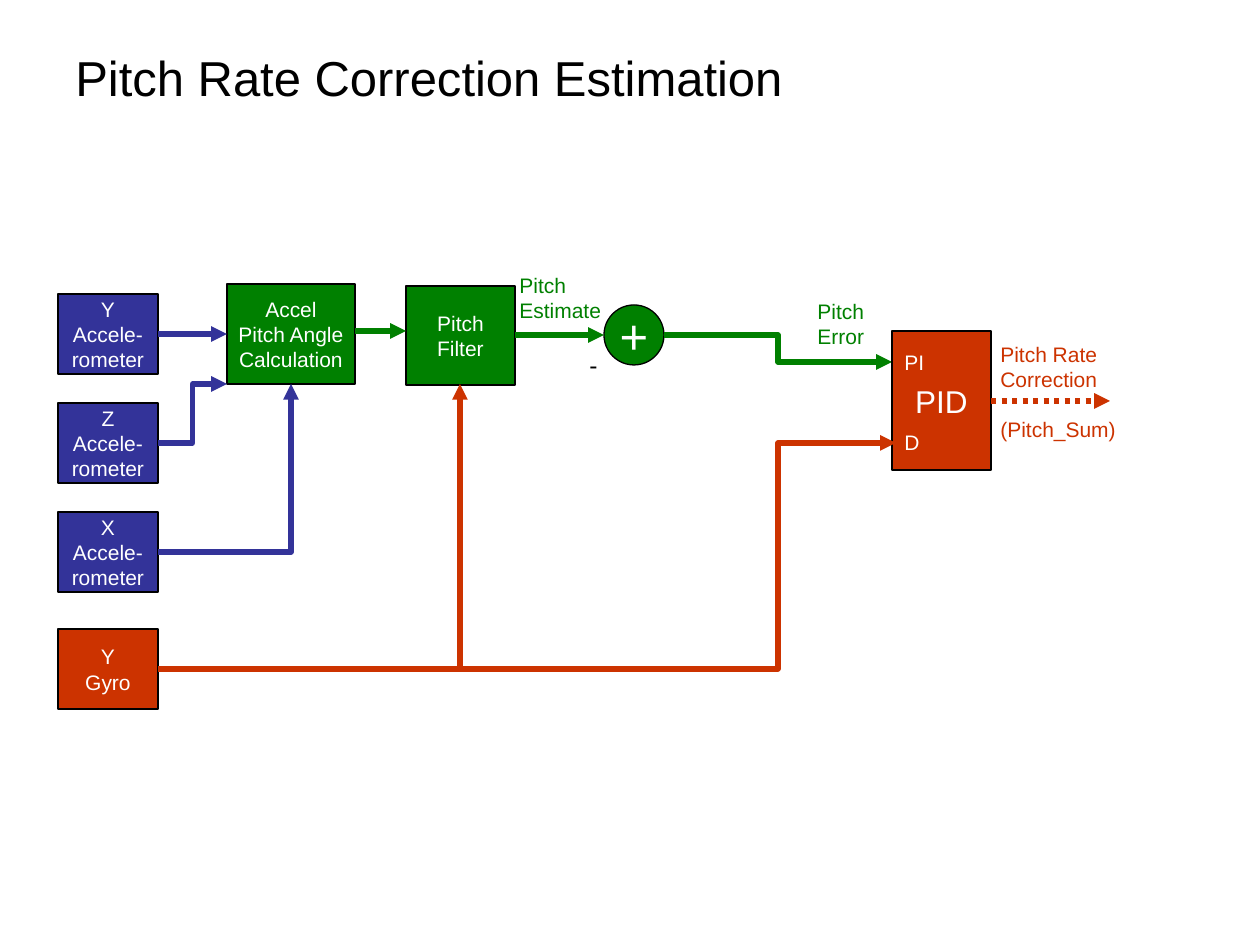
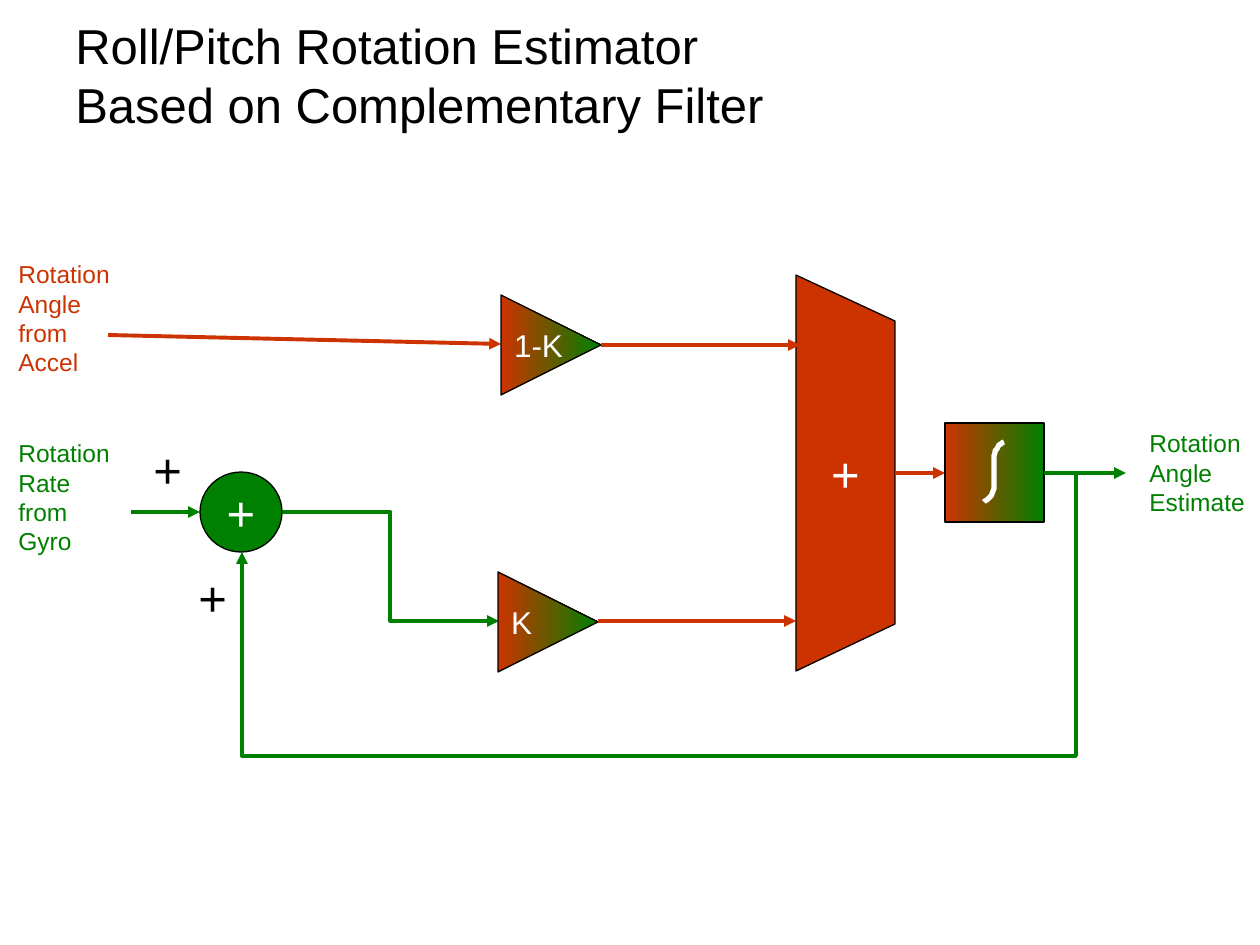
from dataclasses import dataclass

from lxml.etree import SubElement
from pptx import Presentation
from pptx.dml.color import RGBColor
from pptx.enum.dml import MSO_LINE
from pptx.enum.shapes import MSO_CONNECTOR, MSO_SHAPE
from pptx.enum.text import MSO_ANCHOR, PP_ALIGN
from pptx.oxml.ns import qn
from pptx.util import Pt

EMU_PER_PX = 914400 / 126
FONT = "Arial"
BLACK, WHITE = "000000", "FFFFFF"
BLUE, GREEN, RED = "333399", "008000", "CC3300"
THICK, THIN = 3, 2.25


def px(length):
    return round(length * EMU_PER_PX)


def color(hex_string):
    return RGBColor.from_string(hex_string)


def write(frame, text, size, hex_color, align=PP_ALIGN.LEFT):
    """Write each line of the text as a paragraph with one run."""
    for index, line in enumerate(text.split("\n")):
        paragraph = frame.add_paragraph() if index else frame.paragraphs[0]
        paragraph.alignment = align
        run = paragraph.add_run()
        run.text = line
        run.font.name = FONT
        run.font.size = Pt(size)
        run.font.color.rgb = color(hex_color)


def outline(shape, hex_color=BLACK, width=0.75):
    shape.shadow.inherit = False
    shape.line.color.rgb = color(hex_color)
    shape.line.width = Pt(width)


def fill_solid(shape, hex_color):
    shape.fill.solid()
    shape.fill.fore_color.rgb = color(hex_color)


def fill_red_to_green(shape, angle=0):
    shape.fill.gradient()
    shape.fill.gradient_angle = angle
    for stop, position, hex_color in zip(shape.fill.gradient_stops, (0, 1), (RED, GREEN)):
        stop.position = position
        stop.color.rgb = color(hex_color)


def center_text(shape, text, size):
    frame = shape.text_frame
    frame.word_wrap = False
    frame.vertical_anchor = MSO_ANCHOR.MIDDLE
    write(frame, text, size, WHITE, PP_ALIGN.CENTER)


def bezier_points(start, curves, steps=8):
    """Return points along joined cubic curves, each given by two controls and an end."""
    points = [start]
    for first, second, end in curves:
        begin = points[-1]
        for step in range(1, steps + 1):
            t = step / steps
            u = 1 - t
            points.append(tuple(
                u**3 * a + 3 * u * u * t * b + 3 * u * t * t * c + t**3 * d
                for a, b, c, d in zip(begin, first, second, end)))
    return points


@dataclass
class Region:
    """Part of a slide; everything drawn in it is placed from its left top corner."""
    slide: object
    left: int
    top: int

    def place(self, left, top, width, height):
        return px(self.left + left), px(self.top + top), px(width), px(height)

    def preset(self, kind, box):
        shape = self.slide.shapes.add_shape(kind, *self.place(*box))
        outline(shape)
        return shape

    def block(self, text, box, fill, size=12, kind=MSO_SHAPE.RECTANGLE):
        shape = self.preset(kind, box)
        fill_solid(shape, fill)
        center_text(shape, text, size)

    def sum_circle(self, box):
        self.block("+", box, GREEN, 28, MSO_SHAPE.OVAL)

    def gain(self, text, box):
        """Draw a triangle that points right, with upright text."""
        triangle = self.preset(MSO_SHAPE.ISOSCELES_TRIANGLE, box)
        triangle.rotation = 90
        fill_red_to_green(triangle, 90)
        center_text(triangle, text, 18)
        frame = triangle.text_frame
        frame.margin_left = frame.margin_right = px(6)
        frame.margin_top = frame.margin_bottom = px(13)
        body = triangle.element.txBody.find(qn("a:bodyPr"))
        body.set("vert", "eaVert")
        body.set("rot", "10800000")

    def outline_shape(self, points, close=True):
        points = [(self.left + x, self.top + y) for x, y in points]
        builder = self.slide.shapes.build_freeform(*points[0], scale=EMU_PER_PX)
        builder.add_line_segments(points[1:], close=close)
        shape = builder.convert_to_shape()
        outline(shape)
        return shape

    def label(self, text, box, hex_color, size=12):
        frame = self.slide.shapes.add_textbox(*self.place(*box)).text_frame
        frame.word_wrap = True
        frame.margin_right = 0
        write(frame, text, size, hex_color)
        return frame

    def arrow(self, start, end, hex_color, width, bends=0, adjust=(), dash=None):
        """Draw a straight arrow, or one with bends set by fractions of its size."""
        kind = MSO_CONNECTOR.ELBOW if bends else MSO_CONNECTOR.STRAIGHT
        ends = [px(value) for x, y in (start, end) for value in (self.left + x, self.top + y)]
        connector = self.slide.shapes.add_connector(kind, *ends)
        connector.line.color.rgb = color(hex_color)
        connector.line.width = Pt(width)
        if dash:
            connector.line.dash_style = dash
        properties = connector.element.spPr
        if bends:
            geometry = properties.find(qn("a:prstGeom"))
            geometry.set("prst", f"bentConnector{bends + 1}")
            guides = geometry.find(qn("a:avLst"))
            if guides is None:
                guides = SubElement(geometry, qn("a:avLst"))
            for number, fraction in enumerate(adjust, 1):
                SubElement(guides, qn("a:gd"), name=f"adj{number}",
                           fmla=f"val {round(fraction * 100000)}")
        SubElement(properties.find(qn("a:ln")), qn("a:tailEnd"), type="triangle")
        SubElement(properties, qn("a:effectLst"))


def add_slide(presentation, title, top, height):
    slide = presentation.slides.add_slide(presentation.slide_layouts[6])
    frame = Region(slide, 63, top).label(title, (0, 0, 905, height), BLACK, 28)
    frame.vertical_anchor = MSO_ANCHOR.MIDDLE
    return slide


def draw_pitch_estimate(region):
    region.block("Accel\nPitch Angle\nCalculation", (0, 18, 128, 100), GREEN)
    region.block("Pitch\nFilter", (179, 20, 109, 99), GREEN)
    region.sum_circle((377, 39, 60, 60))
    region.arrow((128, 65), (179, 65), GREEN, THICK)
    region.arrow((288, 69), (377, 69), GREEN, THICK)
    region.arrow((437, 69), (665, 96), GREEN, THICK, bends=2)
    region.label("Pitch\nEstimate", (280, 0, 107, 63), GREEN)
    region.label("Pitch\nError", (578, 26, 72, 63), GREEN)
    region.label("-", (350, 78, 33, 43), BLACK, 14)


def draw_controller(region):
    region.block("PID", (0, 0, 99, 139), RED, 18)
    region.label("PI", (0, 12, 45, 38), WHITE)
    region.label("D", (0, 92, 40, 38), WHITE)
    frame = region.label("Pitch Rate\nCorrection\n(Pitch_Sum)", (96, 4, 174, 113), RED)
    frame.paragraphs[2].space_before = Pt(14)
    region.arrow((99, 70), (218, 70), RED, THICK, dash=MSO_LINE.ROUND_DOT)


def draw_sensors(region):
    for row, axis in enumerate("YZX"):
        region.block(f"{axis}\nAccele-\nrometer", (0, 109 * row, 100, 80), BLUE)
    region.block("Y\nGyro", (0, 335, 100, 80), RED)
    region.arrow((100, 40), (169, 40), BLUE, THICK)
    region.arrow((100, 149), (169, 90), BLUE, THICK, bends=2)
    region.arrow((100, 258), (233, 90), BLUE, THICK, bends=1)
    region.arrow((100, 375), (402, 90), RED, THICK, bends=1)
    region.arrow((100, 375), (838, 149), RED, THICK, bends=2, adjust=(0.84,))


def draw_inputs(region):
    region.label("Rotation\nAngle\nfrom\nAccel", (0, 0, 116, 131), RED, 14)
    region.label("Rotation\nRate\nfrom\nGyro", (0, 179, 116, 131), GREEN, 14)
    region.arrow((102, 82), (495, 91), RED, THIN)
    region.arrow((125, 259), (194, 259), GREEN, THIN)
    region.sum_circle((194, 219, 82, 80))
    for left, top in ((135, 180), (180, 308)):
        region.label("+", (left, top, 53, 72), BLACK, 28)
    region.arrow((276, 259), (493, 368), GREEN, THIN, bends=2)


def draw_gains(region):
    adder = region.outline_shape([(298, 0), (397, 46), (397, 349), (298, 396)])
    fill_solid(adder, RED)
    center_text(adder, "+", 28)
    region.gain("1-K", (3, 20, 100, 100))
    region.gain("K", (0, 297, 100, 100))
    region.arrow((103, 70), (302, 70), RED, THIN)
    region.arrow((100, 346), (298, 346), RED, THIN)
    region.arrow((397, 198), (447, 198), RED, THIN)


def draw_integrator(region):
    fill_red_to_green(region.preset(MSO_SHAPE.RECTANGLE, (0, 0, 99, 99)))
    integral_sign = region.outline_shape(bezier_points((59, 19), [
        ((55, 21), (50, 25), (49, 33)),
        ((48, 40), (50, 58), (49, 66)),
        ((48, 73), (42, 77), (39, 79)),
    ]), close=False)
    integral_sign.fill.background()
    outline(integral_sign, WHITE, 3)
    region.arrow((99, 50), (181, 50), GREEN, THIN)
    region.arrow((99, 50), (-703, 129), GREEN, THIN, bends=3, adjust=(-0.04, 3.58))
    region.label("Rotation\nAngle\nEstimate", (192, -1, 121, 101), GREEN, 14)


def main():
    presentation = Presentation()
    presentation.slide_width = px(1260)
    presentation.slide_height = px(945)

    slide = add_slide(presentation, "Pitch Rate Correction Estimation", 38, 77)
    draw_pitch_estimate(Region(slide, 227, 266))
    draw_controller(Region(slide, 892, 331))
    draw_sensors(Region(slide, 58, 294))

    slide = add_slide(
        presentation, "Roll/Pitch Rotation Estimator\nBased on Complementary Filter", 6, 137)
    draw_inputs(Region(slide, 6, 253))
    draw_gains(Region(slide, 498, 275))
    draw_integrator(Region(slide, 945, 423))

    presentation.save("out.pptx")


if __name__ == "__main__":
    main()
